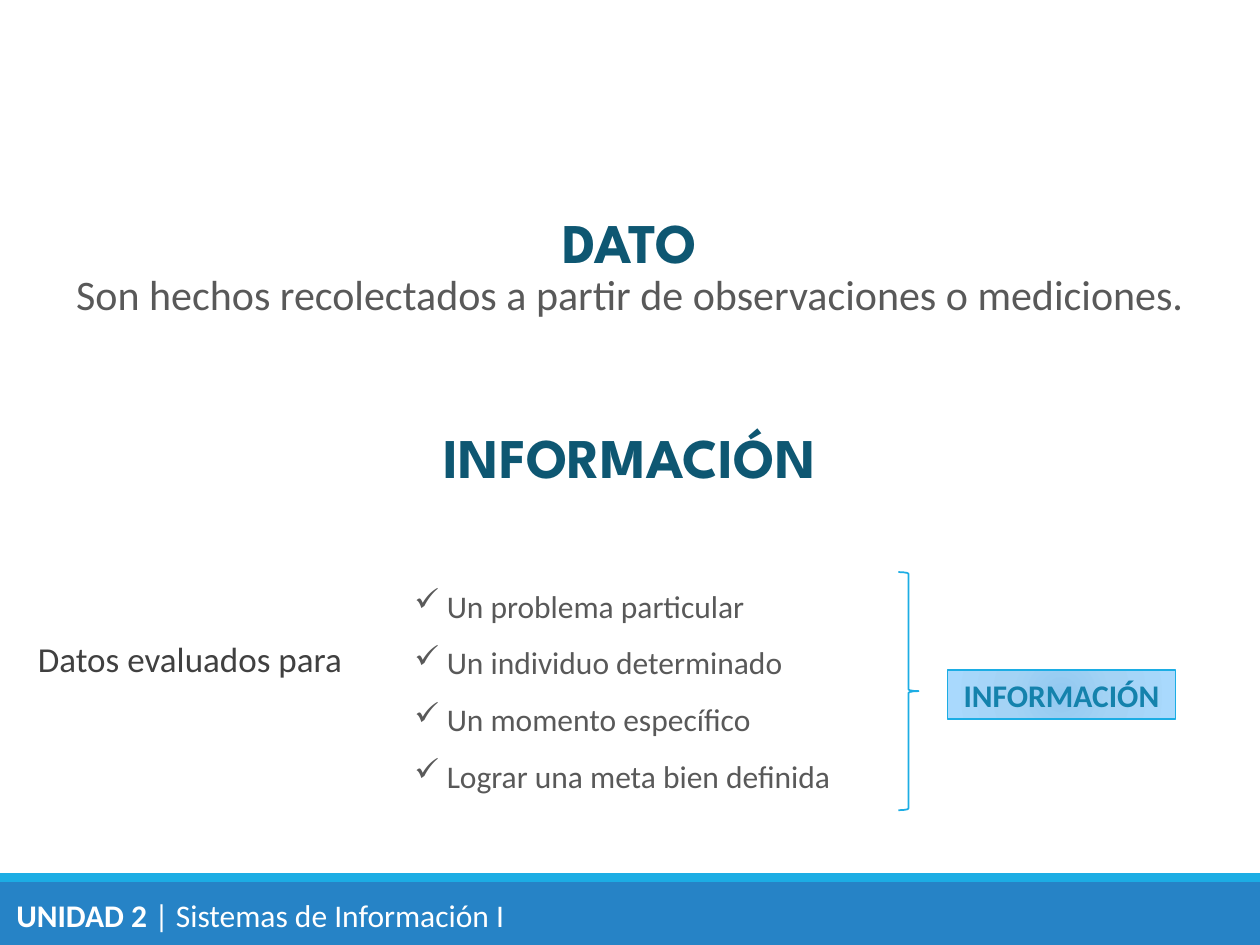
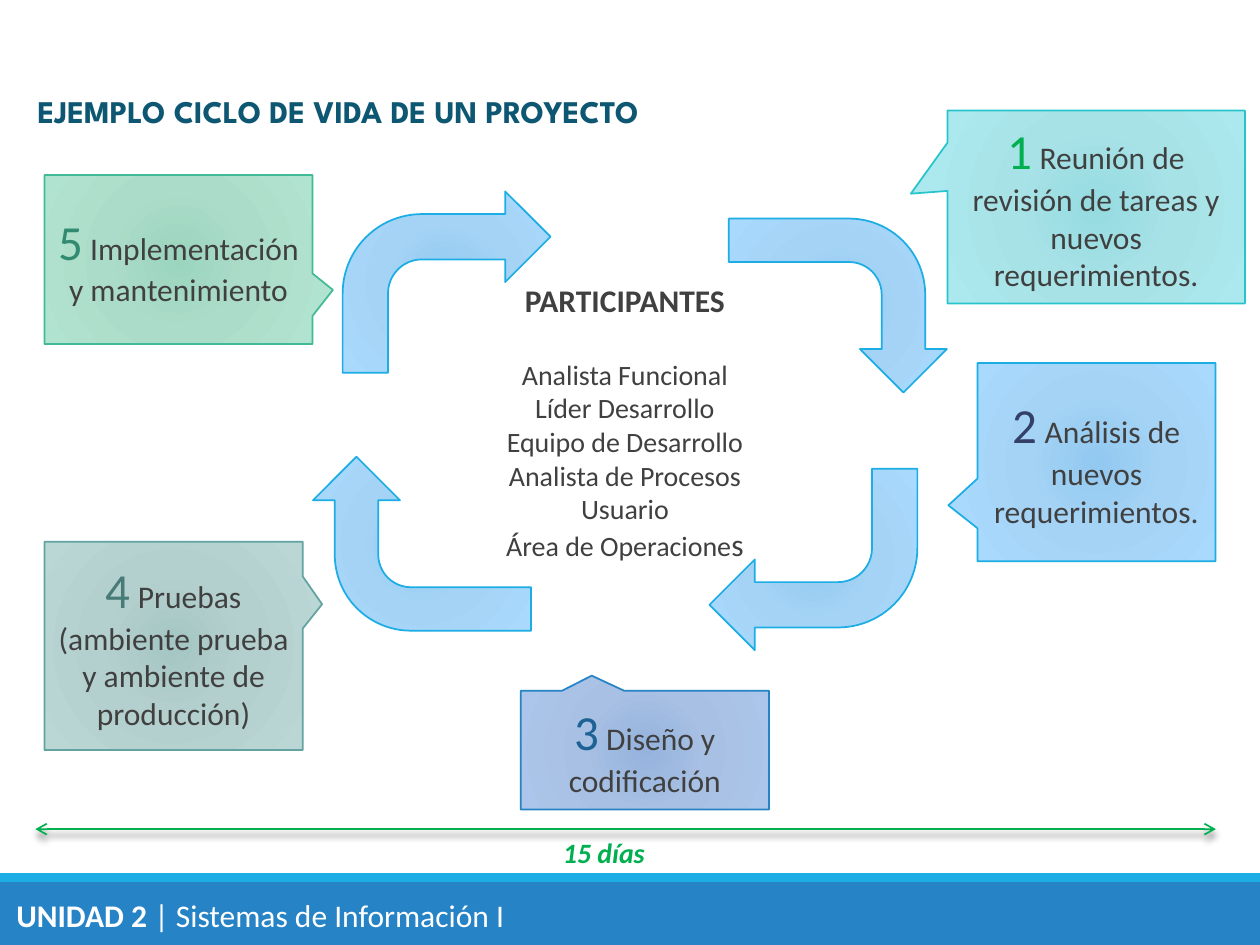
from lxml import etree
from pptx import Presentation
from pptx.dml.color import RGBColor
from pptx.enum.shapes import MSO_CONNECTOR, MSO_SHAPE
from pptx.enum.text import MSO_ANCHOR, PP_ALIGN
from pptx.oxml.ns import qn
from pptx.util import Pt

BODY, DISPLAY = "Calibri", "League Spartan"
WHITE, TEAL, GREY, DARK = "FFFFFF", "0E5772", "595959", "404040"
BLUE, SKY, GREEN = "2683C6", "1CADE4", "00B050"
SKY_GLOW = ("92C9F0", "A4D3F5", "A9D9FD")
LEFT, CENTER = PP_ALIGN.LEFT, PP_ALIGN.CENTER

FOOTER = ("UNIDAD 2 ", "| Sistemas de Información I")

# text, left, top, size, font, colour, bold, alignment
DEFINITIONS = [
    ("DATO", 0, 118.6, 32, DISPLAY, TEAL, True, CENTER),
    ("Son hechos recolectados a partir de observaciones o mediciones.",
     0, 153.2, 24, BODY, GREY, False, CENTER),
    ("INFORMACIÓN", 0, 241.6, 32, DISPLAY, TEAL, True, CENTER),
    ("Datos evaluados para", 21.6, 364.4, 20, BODY, DARK, False, LEFT),
]
PURPOSES = ["Un problema particular", "Un individuo determinado",
            "Un momento específico", "Lograr una meta bien definida"]

CYCLE_TITLE = "EJEMPLO CICLO DE VIDA DE UN PROYECTO"
DURATION = "15 días"
PARTICIPANTS_TITLE = "PARTICIPANTES"
PARTICIPANTS = ["Analista Funcional", "Líder Desarrollo", "Equipo de Desarrollo",
                "Analista de Procesos", "Usuario", "Área de Operacione"]
# frame before rotation; each arrow turns a quarter further
ARROWS = [(195.8, 109.4, 118.8, 103.7), (429.1, 112.3, 99.4, 124.6),
          (405.4, 267.8, 118.8, 103.7), (191.5, 248.4, 99.4, 124.6)]
# text, frame, pointer, number colour, line colour, gradient
STEPS = [
    ("Reunión de revisión de tareas y nuevos requerimientos.",
     (541.4, 63.2, 170, 110.2), (-0.623, -0.069), GREEN, "28C4CC",
     ("95DBE0", "A7E2E7", "ACE9EE")),
    ("Análisis de nuevos requerimientos.",
     (558.5, 207.5, 136.1, 113.2), (-0.622, 0.218), "344068", SKY, SKY_GLOW),
    ("Diseño y codificación",
     (297.6, 394.7, 141.8, 67.9), (-0.214, -0.627), "1D6294", BLUE,
     ("95B3DD", "A7C0E3", "ACC6EB")),
    ("Pruebas (ambiente prueba y ambiente de producción)",
     (25.4, 309.6, 147.6, 119), (0.575, -0.2), "487B78", "62A39F",
     ("A5C6C4", "B4D0CE", "BAD7D5")),
    ("Implementación y mantenimiento",
     (25.4, 100, 153.2, 96.6), (0.576, 0.18), "328B71", "42BA97",
     ("9BD5BE", "ABDCC9", "B1E4D0")),
]


def color(hex_code):
    return RGBColor.from_string(hex_code)


def add_node(parent, tag, **attributes):
    node = etree.SubElement(parent, qn(tag))
    for name, value in attributes.items():
        node.set(name, str(value))
    return node


def add_run(para, text, size, hex_code, bold=False, italic=False, font=BODY):
    span = para.add_run()
    span.text = text
    span.font.name, span.font.size = font, Pt(size)
    span.font.bold, span.font.italic = bold, italic
    span.font.color.rgb = color(hex_code)


def add_box(slide, left, top, width, height, inset=None):
    """Add a wrapping text box and return its first paragraph."""
    frame = slide.shapes.add_textbox(Pt(left), Pt(top), Pt(width), Pt(height)).text_frame
    frame.word_wrap = True
    if inset is not None:
        frame.margin_left = frame.margin_right = Pt(inset)
        frame.margin_top = frame.margin_bottom = Pt(inset)
    return frame.paragraphs[0]


def glow(shape, colors):
    """Fill a shape with a circular three-stop gradient."""
    shape.fill.gradient()
    gradient = shape.element.spPr.find(qn("a:gradFill"))
    for child in list(gradient):
        gradient.remove(child)
    stops = add_node(gradient, "a:gsLst")
    for position, hex_code in zip((0, 45000, 100000), colors):
        stop = add_node(stops, "a:gs", pos=position)
        add_node(stop, "a:srgbClr", val=hex_code)
    circle = add_node(gradient, "a:path", path="circle")
    add_node(circle, "a:fillToRect", l=100000, t=100000, r=100000, b=100000)


def add_figure(slide, kind, frame, fill=None, line=None):
    """Add a preset shape; fill is a colour, a gradient tuple or None."""
    shape = slide.shapes.add_shape(kind, *(Pt(length) for length in frame))
    shape.shadow.inherit = False
    if fill is None:
        shape.fill.background()
    elif isinstance(fill, tuple):
        glow(shape, fill)
    else:
        shape.fill.solid()
        shape.fill.fore_color.rgb = color(fill)
    if line:
        shape.line.color.rgb = color(line)
        shape.line.width = Pt(1)
    else:
        shape.line.fill.background()
    shape.text_frame.word_wrap = True
    shape.text_frame.vertical_anchor = MSO_ANCHOR.MIDDLE
    return shape


def next_para(frame, index, alignment):
    para = frame.add_paragraph() if index else frame.paragraphs[0]
    para.alignment = alignment
    return para


def new_slide(deck):
    """Add a blank slide with the shared bands and footer."""
    slide = deck.slides.add_slide(deck.slide_layouts[6])
    add_figure(slide, MSO_SHAPE.RECTANGLE, (0, 504, 720, 36), BLUE)
    add_figure(slide, MSO_SHAPE.RECTANGLE, (0, 499, 720, 5), SKY)
    para = add_box(slide, 2.2, 508.3, 320, 29)
    for text, bold in zip(FOOTER, (True, False)):
        add_run(para, text, 18, WHITE, bold)
    return slide


def add_bullet(para, symbol, indent):
    properties = para._p.get_or_add_pPr()
    properties.set("marL", str(Pt(indent)))
    properties.set("indent", str(-Pt(indent)))
    add_node(properties, "a:buChar", char=symbol)


def build_definitions(deck):
    slide = new_slide(deck)
    for text, left, top, size, font, hex_code, bold, alignment in DEFINITIONS:
        para = add_box(slide, left, top, 720 - left, size * 1.25, inset=0)
        para.alignment = alignment
        add_run(para, text, size, hex_code, bold, font=font)

    checklist = add_figure(slide, MSO_SHAPE.RECTANGLE, (229.7, 326.9, 294.5, 124.6), WHITE)
    for index, purpose in enumerate(PURPOSES):
        para = next_para(checklist.text_frame, index, LEFT)
        para.line_spacing = 1.5
        add_bullet(para, "✓", 18.5)
        add_run(para, purpose, 18, GREY)

    add_figure(slide, MSO_SHAPE.RIGHT_BRACE, (513.4, 326.9, 11.5, 136.1), line=SKY)
    result = add_figure(slide, MSO_SHAPE.RECTANGLE, (541.4, 383, 130.3, 28.1), SKY_GLOW, SKY)
    add_run(next_para(result.text_frame, 0, CENTER), "INFORMACIÓN", 18, "1482AC", True)


def add_timeline(slide):
    line = slide.shapes.add_connector(MSO_CONNECTOR.STRAIGHT,
                                      Pt(20.2), Pt(473.8), Pt(694.8), Pt(473.8))
    line.line.color.rgb = color(GREEN)
    line.line.width = Pt(1)
    stroke = line.line._get_or_add_ln()
    for end in ("a:headEnd", "a:tailEnd"):
        add_node(stroke, end, type="arrow")
    effects = add_node(line.element.spPr, "a:effectLst")
    shadow = add_node(effects, "a:outerShdw", blurRad=Pt(4), dist=Pt(3),
                      dir=90 * 60000, rotWithShape=0)
    add_node(add_node(shadow, "a:srgbClr", val="000000"), "a:alpha", val=40000)
    add_run(add_box(slide, 314.6, 473.8, 67.7, 26.6), DURATION, 16, GREEN, True, True)


def build_life_cycle(deck):
    slide = new_slide(deck)
    for turn, frame in enumerate(ARROWS):
        arrow = add_figure(slide, MSO_SHAPE.BENT_ARROW, frame, SKY_GLOW, SKY)
        arrow.rotation = 90 * turn
    add_timeline(slide)

    for number, (text, frame, pointer, accent, line, fill) in enumerate(STEPS, 1):
        callout = add_figure(slide, MSO_SHAPE.RECTANGULAR_CALLOUT, frame, fill, line)
        for index, offset in enumerate(pointer):
            callout.adjustments[index] = offset
        para = next_para(callout.text_frame, 0, CENTER)
        add_run(para, str(number), 28, accent)
        add_run(para, " " + text, 18, DARK)

    team = add_figure(slide, MSO_SHAPE.FLOWCHART_PROCESS, (229.7, 162, 254.9, 158.4)).text_frame
    add_run(next_para(team, 0, CENTER), PARTICIPANTS_TITLE, 18, DARK, True)
    for index, role in enumerate(PARTICIPANTS, 1):
        para = next_para(team, index, CENTER)
        if index == 1:
            para.space_before = Pt(22)
        add_run(para, role, 16, DARK)
    add_run(para, "s", 18, DARK)

    add_run(add_box(slide, 14.4, 49, 425.5, 28.8), CYCLE_TITLE, 18, TEAL, True, font=DISPLAY)


def main():
    deck = Presentation()
    deck.slide_width, deck.slide_height = Pt(720), Pt(540)
    build_definitions(deck)
    build_life_cycle(deck)
    deck.save("out.pptx")


if __name__ == "__main__":
    main()
